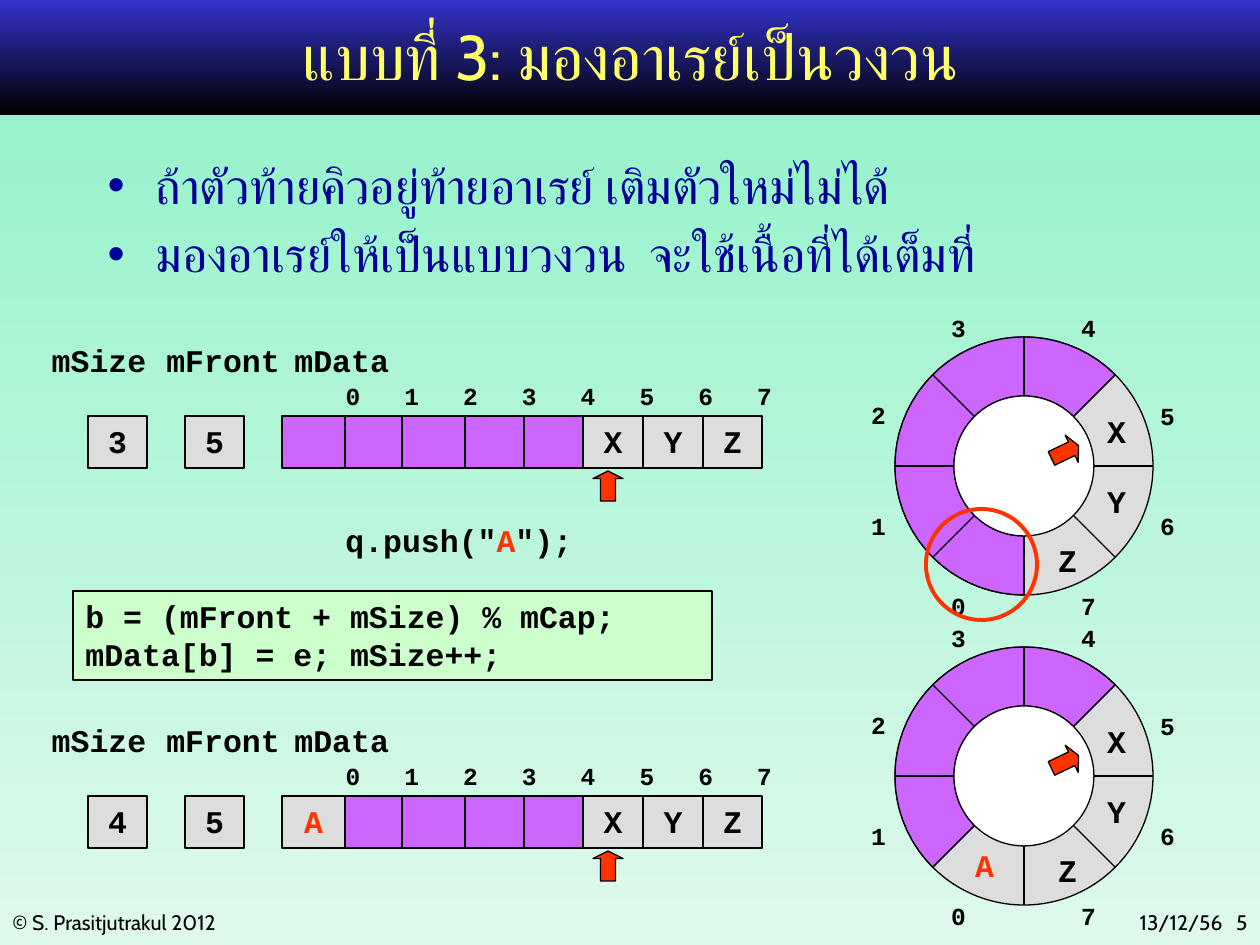
import math

from lxml import etree
from pptx import Presentation
from pptx.dml.color import RGBColor
from pptx.enum.shapes import MSO_CONNECTOR, MSO_SHAPE
from pptx.enum.text import MSO_ANCHOR, PP_ALIGN
from pptx.oxml.ns import qn
from pptx.util import Pt

RECT, OVAL, UP_ARROW = MSO_SHAPE.RECTANGLE, MSO_SHAPE.OVAL, MSO_SHAPE.UP_ARROW
STRAIGHT = MSO_CONNECTOR.STRAIGHT
LEFT, CENTER, RIGHT = PP_ALIGN.LEFT, PP_ALIGN.CENTER, PP_ALIGN.RIGHT
TOP, MIDDLE = MSO_ANCHOR.TOP, MSO_ANCHOR.MIDDLE

SCALE = 9144000 / 1260
SANS, MONO = "Cabin", "Courier New"
BLACK, RED, PURPLE, GREY, WHITE = "000000", "FF3300", "CC66FF", "DDDDDD", "FFFFFF"
CELL_EDGES = (282, 345, 402, 465, 524, 583, 643, 703, 762)
RING_X, OUTER, INNER = 1024, 129, 70
INDEX_OFFSETS = ((-65, 140), (-145, 60), (-145, -51), (-65, -138),
                 (65, -138), (144, -50), (144, 60), (65, 140))
VALUE_OFFSETS = {0: (-39, 89), 5: (93, -35), 6: (93, 35), 7: (44, 94)}


def px(length):
    """Turn pixels into EMU."""
    return round(length * SCALE)


def rgb(colour):
    """Turn a hex string into a colour."""
    return RGBColor.from_string(colour)


def style_run(run, size, font, colour, bold):
    """Set the font of one run."""
    run.font.size, run.font.name, run.font.bold = Pt(size), font, bold
    run.font.color.rgb = rgb(colour)


def write(shape, text, size=18, colour=BLACK, align=CENTER, font=MONO, bold=True, anchor=TOP):
    """Fill a shape with uniformly formatted text."""
    frame = shape.text_frame
    frame.text, frame.word_wrap, frame.vertical_anchor = text, True, anchor
    for paragraph in frame.paragraphs:
        paragraph.alignment = align
        for run in paragraph.runs:
            style_run(run, size, font, colour, bold)


def add_label(shapes, box, text, **style):
    """Add a text box."""
    label = shapes.add_textbox(*map(px, box))
    write(label, text, **style)
    return label


def paint(shape, fill, line=BLACK, weight=0.75):
    """Set fill and outline, either of which may be None."""
    shape.shadow.inherit = False
    if fill:
        shape.fill.solid()
        shape.fill.fore_color.rgb = rgb(fill)
    else:
        shape.fill.background()
    if line:
        shape.line.color.rgb = rgb(line)
        shape.line.width = Pt(weight)
    else:
        shape.line.fill.background()


def add_block(shapes, kind, box, fill, line=BLACK, weight=0.75):
    """Add a painted preset shape."""
    block = shapes.add_shape(kind, *map(px, box))
    paint(block, fill, line, weight)
    return block


def shade(fill, top, bottom):
    """Apply a vertical gradient."""
    fill.gradient()
    fill.gradient_angle = 270
    for stop, colour in zip(fill.gradient_stops, (top, bottom)):
        stop.color.rgb = rgb(colour)


def add_pointer(shapes, x, y, rotation=0):
    """Add a red arrow marking the front of the queue."""
    pointer = add_block(shapes, UP_ARROW, (x, y, 30, 30), RED)
    pointer.adjustments[1] = 0.252
    pointer.rotation = rotation


def add_value_box(shapes, x, y, width, value):
    """Add one memory cell, purple when it is empty."""
    cell = add_block(shapes, RECT, (x, y, width, 52), GREY if value else PURPLE)
    if value:
        write(cell, value, colour=RED if value == "A" else BLACK)


def add_array_row(slide, top, size, front, values):
    """Draw the queue's fields and its array as a straight row."""
    shapes = slide.shapes.add_group_shape().shapes
    indices = add_label(shapes, (289, top + 40, 510, 42),
                        "".join(f"\t{i}" for i in range(len(values))), size=14, align=LEFT)
    properties = indices.text_frame.paragraphs[0]._p.get_or_add_pPr()
    tabs = etree.SubElement(properties, qn("a:tabLst"))
    for i in range(len(values)):
        etree.SubElement(tabs, qn("a:tab"), pos=str(Pt(25.2 + 33.6 * i)), algn="l")
    for left, right, value in zip(CELL_EDGES, CELL_EDGES[1:], values):
        add_value_box(shapes, left, top + 81, right - left, value)
    add_pointer(shapes, 593, top + 136)
    for x, width, name, align in ((33, 132, "mSize", CENTER), (150, 146, "mFront", CENTER),
                                  (282, 223, "mData", LEFT)):
        add_label(shapes, (x, top, width, 50), name, align=align)
    for x, value in ((88, size), (185, front)):
        add_value_box(shapes, x, top + 81, 59, value)


def ring_point(centre_y, radius, degrees):
    """Find a point on a ring, clockwise from the right, in EMU."""
    angle = math.radians(degrees)
    return px(RING_X + radius * math.cos(angle)), px(centre_y + radius * math.sin(angle))


def add_circle(shapes, centre_y, radius, fill):
    """Add a circle on the ring's axis."""
    add_block(shapes, OVAL, (RING_X - radius, centre_y - radius, 2 * radius, 2 * radius), fill)


def add_ring(slide, centre_y, empty_start, values):
    """Draw the array as a ring whose empty part runs clockwise to the upper right."""
    shapes = slide.shapes.add_group_shape().shapes
    add_circle(shapes, centre_y, OUTER, GREY)
    sweep = [empty_start + 5 * i for i in range((315 - empty_start) // 5 + 1)]
    outline = [ring_point(centre_y, OUTER, a) for a in sweep]
    outline += [ring_point(centre_y, INNER, a) for a in reversed(sweep)]
    builder = shapes.build_freeform(*outline[0], scale=1.0)
    builder.add_line_segments(outline[1:], close=True)
    paint(builder.convert_to_shape(), PURPLE)
    for degrees in (0, 45, 90, 135):
        divider = shapes.add_connector(STRAIGHT, *ring_point(centre_y, OUTER, degrees),
                                       *ring_point(centre_y, OUTER, degrees + 180))
        divider.line.color.rgb = rgb(BLACK)
        divider.line.width = Pt(0.75)
        etree.SubElement(divider.element.spPr, qn("a:effectLst"))
    add_circle(shapes, centre_y, INNER, WHITE)
    for i, (dx, dy) in enumerate(INDEX_OFFSETS):
        add_label(shapes, (RING_X + dx - 25, centre_y + dy - 21, 49, 42), str(i), size=14)
    for i, (dx, dy) in VALUE_OFFSETS.items():
        if values[i]:
            add_label(shapes, (RING_X + dx - 25, centre_y + dy - 25, 49, 50), values[i],
                      colour=RED if values[i] == "A" else BLACK)
    add_pointer(shapes, RING_X + 26, centre_y - 29, 64.5)


def fill_placeholder(placeholder, box, text, **style):
    """Move a placeholder and write into it, Thai script included."""
    placeholder.left, placeholder.top, placeholder.width, placeholder.height = map(px, box)
    write(placeholder, text, font=SANS, bold=False, **style)
    for paragraph in placeholder.text_frame.paragraphs:
        for run in paragraph.runs:
            etree.SubElement(run.font._element, qn("a:cs"), typeface=SANS)


def add_heading(slide):
    """Add the background, title bar, title and bullet list."""
    shade(slide.background.fill, "8CF2C6", "DEF9EC")
    title, bullets = slide.placeholders
    bar = add_block(slide.shapes, RECT, (0, 0, 1260, 115), None, None)
    shade(bar.fill, "3333CC", BLACK)
    title.element.addprevious(bar.element)
    fill_placeholder(title, (95, 3, 1071, 105), "แบบที่ 3: มองอาเรย์เป็นวงวน",
                     size=36, colour="FFFF66", anchor=MIDDLE)
    fill_placeholder(bullets, (95, 149, 1111, 185),
                     "ถ้าตัวท้ายคิวอยู่ท้ายอาเรย์ เติมตัวใหม่ไม่ได้\n"
                     "มองอาเรย์ให้เป็นแบบวงวน  จะใช้เนื้อที่ได้เต็มที่",
                     size=28, colour="000099", align=LEFT)
    for paragraph in bullets.text_frame.paragraphs:
        properties = paragraph._p.get_or_add_pPr()
        properties.set("marL", str(px(48)))
        properties.set("indent", str(px(-48)))


def add_code(slide):
    """Add the push call and the statements it runs."""
    call = add_label(slide.shapes, (333, 515, 338, 50), 'q.push("', align=LEFT)
    for text, colour in (("A", RED), ('");', BLACK)):
        run = call.text_frame.paragraphs[0].add_run()
        run.text = text
        style_run(run, 18, MONO, colour, True)
    code = add_block(slide.shapes, RECT, (73, 591, 639, 89), "CCFFCC")
    write(code, "b = (mFront + mSize) % mCap;\nmData[b] = e; mSize++;", align=LEFT)


def main():
    """Build the slide."""
    deck = Presentation()
    deck.slide_width, deck.slide_height = px(1260), px(945)
    slide = deck.slides.add_slide(deck.slide_layouts[1])
    add_heading(slide)
    for x, width, text, align in ((0, 410, "© S. Prasitjutrakul 2012", LEFT),
                                  (987, 248, "13/12/56", RIGHT), (1210, 50, "5", RIGHT)):
        add_label(slide.shapes, (x, 903, width, 38), text, size=12, align=align,
                  font=SANS, bold=False)
    before = ("", "", "", "", "", "X", "Y", "Z")
    after = ("A", *before[1:])
    add_array_row(slide, 335, "3", "5", before)
    add_ring(slide, 466, 90, before)
    add_code(slide)
    add_ring(slide, 776, 135, after)
    add_array_row(slide, 715, "4", "5", after)
    add_block(slide.shapes, OVAL, (926, 509, 111, 111), None, RED, 2.25)
    deck.save("out.pptx")


if __name__ == "__main__":
    main()
